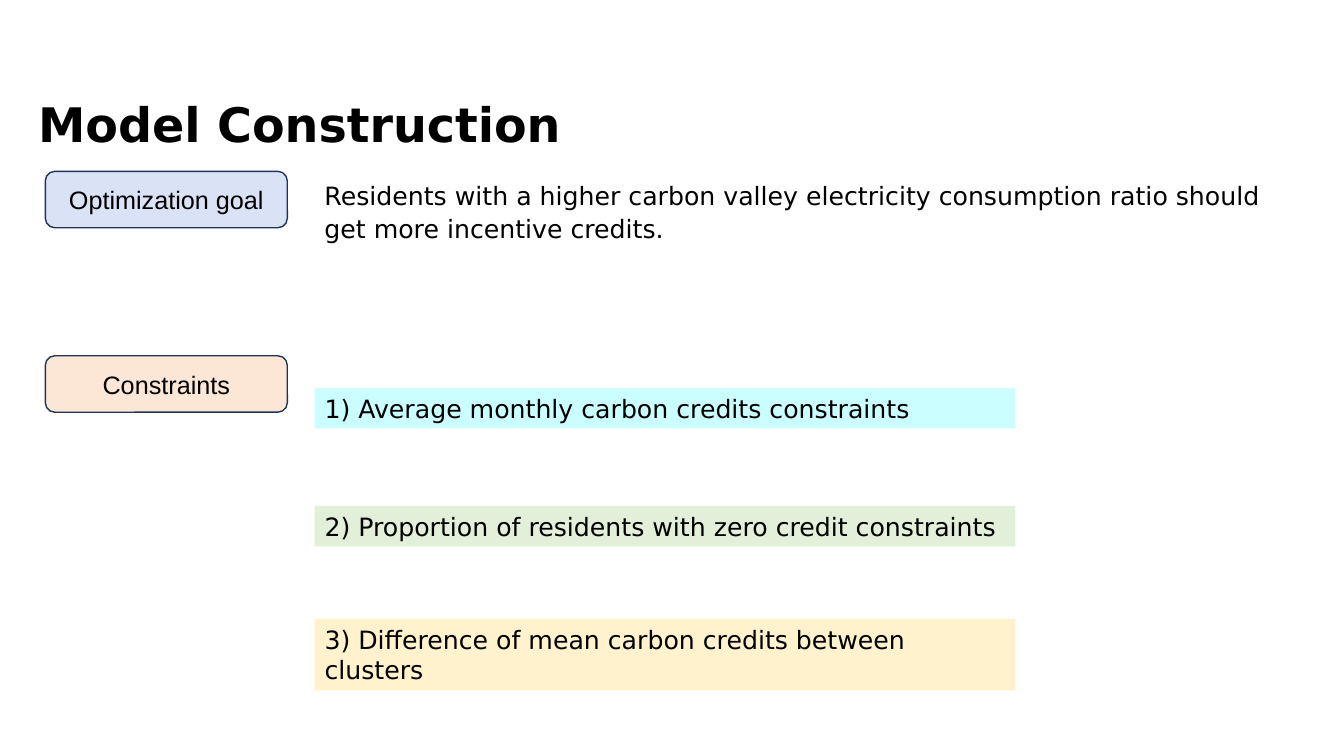
from pptx import Presentation
from pptx.dml.color import RGBColor
from pptx.enum.shapes import MSO_SHAPE
from pptx.enum.text import MSO_ANCHOR, PP_ALIGN
from pptx.util import Pt

RECTANGLE, ROUNDED = MSO_SHAPE.RECTANGLE, MSO_SHAPE.ROUNDED_RECTANGLE
TOP, MIDDLE = MSO_ANCHOR.TOP, MSO_ANCHOR.MIDDLE
LEFT, CENTER = PP_ALIGN.LEFT, PP_ALIGN.CENTER

EMU_PER_PX = 9144  # 100 px to the inch
BODY_FONT, LABEL_FONT = "DejaVu Sans", "Arial"
COLORS = {
    "text": "000000",
    "outline": "203359",
    "goal": "DAE3F5",
    "constraints": "FCE6D5",
    "average": "CBFFFF",
    "proportion": "E2EFD9",
    "difference": "FFF2CC",
}

LABEL_LEFT, LABEL_WIDTH, LABEL_HEIGHT = 45, 240, 56
CONTENT_LEFT = 312
CONSTRAINTS = [  # text, colour, offset from the section top, height
    ("1) Average monthly carbon credits constraints", "average", 32, 40),
    ("2) Proportion of residents with zero credit constraints", "proportion", 149, 40),
    ("3) Difference of mean carbon credits between clusters", "difference", 261, 71),
]


def px(*lengths):
    return [length * EMU_PER_PX for length in lengths]


def write_text(shape, text, size=18, font=BODY_FONT, bold=False,
               align=LEFT, anchor=TOP, spacing=1.0):
    frame = shape.text_frame
    frame.word_wrap = True
    frame.vertical_anchor = anchor
    paragraph = frame.paragraphs[0]
    paragraph.alignment = align
    paragraph.line_spacing = spacing
    run = paragraph.add_run()
    run.text = text
    run.font.size = Pt(size)
    run.font.name = font
    run.font.bold = bold
    run.font.color.rgb = RGBColor.from_string(COLORS["text"])


def add_text(slide, box, text, **text_format):
    write_text(slide.shapes.add_textbox(*px(*box)), text, **text_format)


def add_panel(slide, kind, box, fill, text, outline=None, **text_format):
    shape = slide.shapes.add_shape(kind, *px(*box))
    shape.shadow.inherit = False
    shape.fill.solid()
    shape.fill.fore_color.rgb = RGBColor.from_string(COLORS[fill])
    if outline:
        shape.line.color.rgb = RGBColor.from_string(COLORS[outline])
        shape.line.width = Pt(1)
    else:
        shape.line.fill.background()
    write_text(shape, text, **text_format)


def add_label(slide, top, fill, text):
    add_panel(slide, ROUNDED, (LABEL_LEFT, top, LABEL_WIDTH, LABEL_HEIGHT), fill, text,
              outline="outline", font=LABEL_FONT, align=CENTER, anchor=MIDDLE)


def add_goal(slide, left, top, width, height):
    add_label(slide, top, "goal", "Optimization goal")
    add_text(slide, (left, top + 1, width, height),
             "Residents with a higher carbon valley electricity consumption ratio "
             "should get more incentive credits.", spacing=1.1)


def add_constraints(slide, left, top, width):
    add_label(slide, top, "constraints", "Constraints")
    for text, fill, offset, height in CONSTRAINTS:
        add_panel(slide, RECTANGLE, (left, top + offset, width, height), fill, text)


def build_model_slide(presentation):
    slide = presentation.slides.add_slide(presentation.slide_layouts[6])
    # Title
    add_text(slide, (28, 68, 1305, 117), "Model Construction",
             size=34, bold=True, anchor=MIDDLE, spacing=0.9)
    # Goal and its explanation
    add_goal(slide, CONTENT_LEFT, 170, 993, 77)
    # Constraint bars
    add_constraints(slide, CONTENT_LEFT, 353, 695)


def main():
    presentation = Presentation()
    presentation.slide_width, presentation.slide_height = px(1333, 750)
    build_model_slide(presentation)
    presentation.save("out.pptx")


if __name__ == "__main__":
    main()
